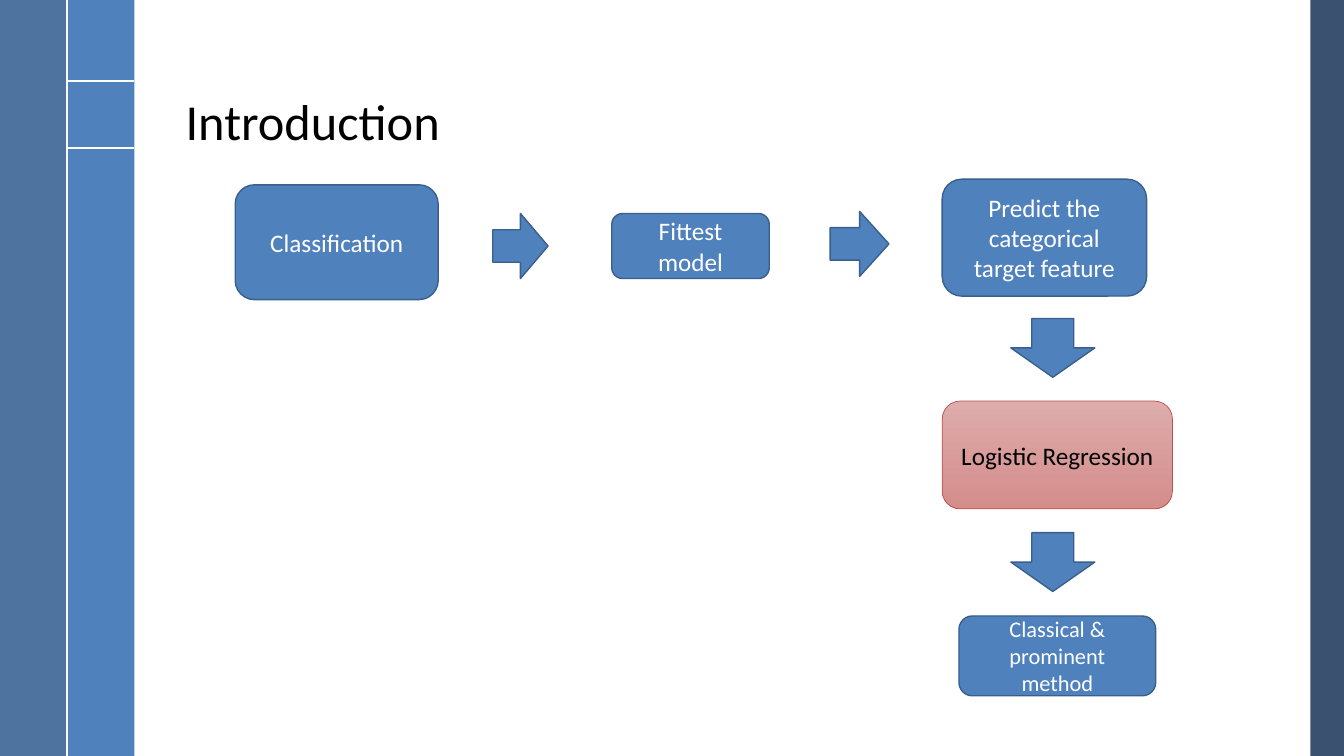
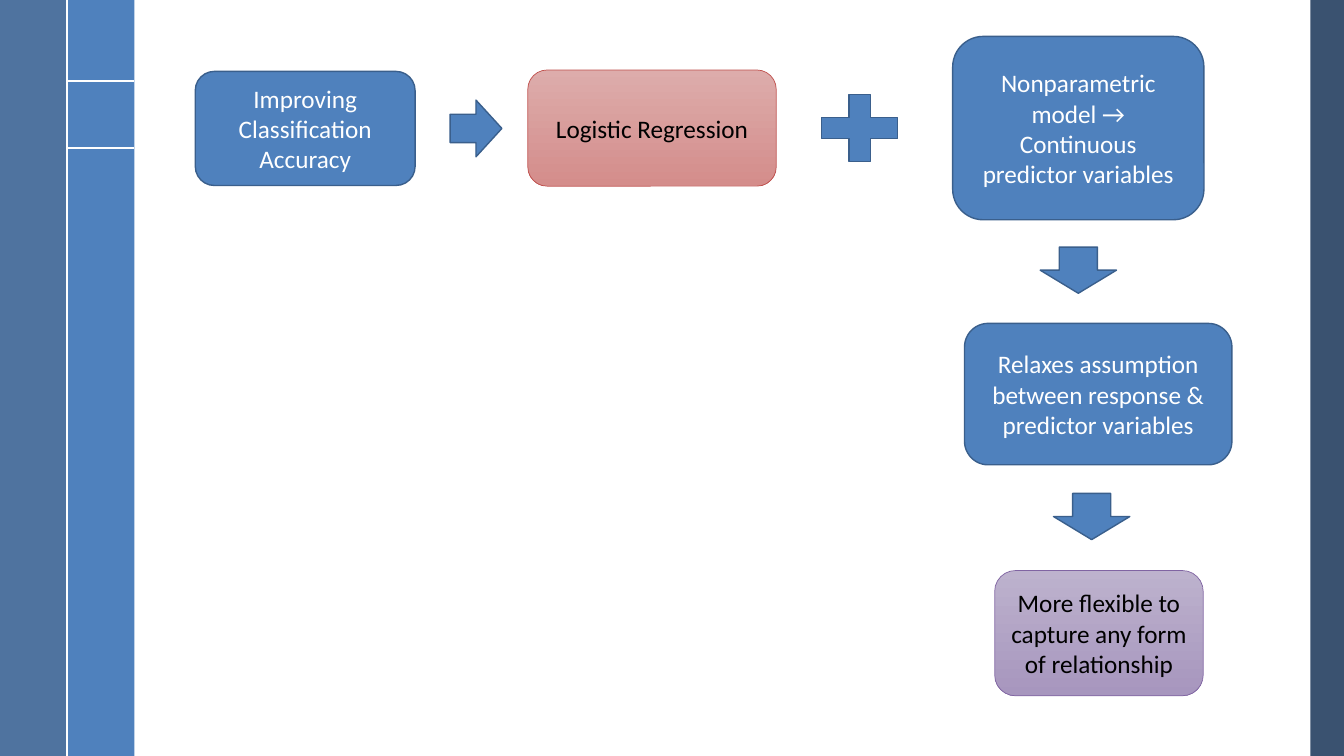
"""Build a two-slide flow of ideas about logistic regression."""
from dataclasses import dataclass
from typing import Any, Optional

from lxml.etree import SubElement
from pptx import Presentation
from pptx.dml.color import RGBColor
from pptx.enum.shapes import MSO_CONNECTOR, MSO_SHAPE as Preset
from pptx.enum.text import MSO_ANCHOR as Anchor, PP_ALIGN as Align
from pptx.oxml.ns import qn
from pptx.util import Pt

PAGE_WIDTH, PAGE_HEIGHT = 960, 540
BLANK_LAYOUT = 6
BAND = 48
RIGHT_BAND = 24
RULE_TOPS = (58, 106)

BLACK = RGBColor(0x00, 0x00, 0x00)
WHITE = RGBColor(0xFF, 0xFF, 0xFF)
BLUE = RGBColor(0x4F, 0x81, 0xBD)
BLUE_EDGE = RGBColor(0x3A, 0x5F, 0x8C)
DEEP_BLUE = RGBColor(0x37, 0x60, 0x92)
NAVY = RGBColor(0x25, 0x40, 0x61)
RED_EDGE = RGBColor(0xC0, 0x50, 0x4D)
RED_LIGHT = RGBColor(0xDD, 0xAC, 0xAB)
RED_DARK = RGBColor(0xD4, 0x8D, 0x8B)
PURPLE_EDGE = RGBColor(0x80, 0x64, 0xA2)
PURPLE_LIGHT = RGBColor(0xBD, 0xB2, 0xCD)
PURPLE_DARK = RGBColor(0xA7, 0x96, 0xBE)


@dataclass(frozen=True)
class Look:
    fills: tuple[RGBColor, ...]
    edge: RGBColor
    edge_width: float
    ink: RGBColor


@dataclass(frozen=True)
class Band:
    left: float
    width: float
    color: RGBColor
    opacity: int = 100


@dataclass(frozen=True)
class Node:
    preset: Preset
    left: float
    top: float
    width: float
    height: float
    text: str = ""
    look: Look = Look((BLUE,), BLUE_EDGE, 1, WHITE)
    size: float = 18


@dataclass(frozen=True)
class Page:
    nodes: tuple[Node, ...]
    title: Optional[str] = None


RED = Look((RED_LIGHT, RED_DARK), RED_EDGE, 0.5, BLACK)
PURPLE = Look((PURPLE_LIGHT, PURPLE_DARK), PURPLE_EDGE, 0.5, BLACK)

BANDS = (
    Band(PAGE_WIDTH - RIGHT_BAND, RIGHT_BAND, NAVY, 90),
    Band(BAND, BAND, BLUE),
    Band(0, BAND, DEEP_BLUE, 88),
)

BOX, RIGHT, DOWN = Preset.ROUNDED_RECTANGLE, Preset.RIGHT_ARROW, Preset.DOWN_ARROW

PAGES = (
    Page((
        Node(BOX, 168, 132, 145, 82, "Classification"),
        Node(RIGHT, 352, 152.5, 39.5, 46.5),
        Node(BOX, 437, 152.5, 112.5, 46.5, "Fittest model"),
        Node(RIGHT, 593, 151, 42, 46.5),
        Node(BOX, 673, 128, 146, 83.5, "Predict the categorical target feature"),
        Node(DOWN, 722, 227.5, 60, 42),
        Node(BOX, 673, 286.5, 164.5, 77, "Logistic Regression", RED),
        Node(DOWN, 722, 380.5, 60, 42),
        Node(BOX, 685, 440, 140.5, 57, "Classical & prominent method", size=16),
    ), "Introduction"),
    Page((
        Node(BOX, 139.5, 51, 157, 81.5, "Improving Classification Accuracy"),
        Node(RIGHT, 321.5, 71.5, 37, 40.5),
        Node(BOX, 377, 50, 177.5, 83, "Logistic Regression", RED),
        Node(Preset.MATH_PLUS, 577, 59, 74, 65),
        Node(BOX, 680.5, 26, 179.5, 131,
             "Nonparametric model → Continuous predictor variables"),
        Node(DOWN, 743, 176.5, 54.5, 33),
        Node(BOX, 689, 231, 191, 101,
             "Relaxes assumption between response & predictor variables"),
        Node(DOWN, 752.5, 352.5, 54.5, 33),
        Node(BOX, 710.5, 407.5, 149, 89.5,
             "More flexible to capture any form of relationship", PURPLE),
    )),
)


def write(frame: Any, text: str, size: float, ink: RGBColor,
          anchor: Anchor, paragraph_format: dict[str, Any]) -> None:
    frame.word_wrap = True
    frame.vertical_anchor = anchor
    para = frame.paragraphs[0]
    for name, value in paragraph_format.items():
        setattr(para, name, value)
    span = para.add_run()
    span.text = text
    for name, value in {"name": "Calibri", "size": Pt(size)}.items():
        setattr(span.font, name, value)
    span.font.color.rgb = ink


def draw_band(slide: Any, band: Band) -> None:
    box = slide.shapes.add_shape(
        Preset.RECTANGLE, Pt(band.left), Pt(0), Pt(band.width), Pt(PAGE_HEIGHT))
    box.shadow.inherit = False
    box.line.fill.background()
    box.fill.solid()
    box.fill.fore_color.rgb = band.color
    if band.opacity < 100:
        color = box.fill._xPr.find(qn("a:solidFill"))[0]
        SubElement(color, qn("a:alpha")).set("val", str(band.opacity * 1000))


def draw_rule(slide: Any, start: tuple[float, float], end: tuple[float, float]) -> None:
    rule = slide.shapes.add_connector(
        MSO_CONNECTOR.STRAIGHT, *(Pt(length) for length in start + end))
    rule.line.color.rgb = WHITE
    rule.line.width = Pt(1.5)
    SubElement(rule._element.spPr, qn("a:effectLst"))


def draw_frame(slide: Any) -> None:
    for band in BANDS:
        draw_band(slide, band)
    for top in RULE_TOPS:
        draw_rule(slide, (BAND, top), (2 * BAND, top))
    draw_rule(slide, (BAND, 0), (BAND, PAGE_HEIGHT))


def draw_title(slide: Any, title: str) -> None:
    box = slide.shapes.add_textbox(Pt(125.5), Pt(13.5), Pt(770), Pt(98))
    write(box.text_frame, title, 36, BLACK, Anchor.BOTTOM, {"line_spacing": 0.9})


def draw_node(slide: Any, node: Node) -> None:
    box = slide.shapes.add_shape(
        node.preset, Pt(node.left), Pt(node.top), Pt(node.width), Pt(node.height))
    box.shadow.inherit = False
    look = node.look
    if len(look.fills) == 1:
        box.fill.solid()
        box.fill.fore_color.rgb = look.fills[0]
    else:
        box.fill.gradient()
        box.fill.gradient_angle = 270
        for stop, color in zip(box.fill.gradient_stops, look.fills):
            stop.color.rgb = color
    box.line.color.rgb = look.edge
    box.line.width = Pt(look.edge_width)
    if node.text:
        write(box.text_frame, node.text, node.size, look.ink,
              Anchor.MIDDLE, {"alignment": Align.CENTER})


def main() -> None:
    deck = Presentation()
    deck.slide_width, deck.slide_height = Pt(PAGE_WIDTH), Pt(PAGE_HEIGHT)
    for page in PAGES:
        slide = deck.slides.add_slide(deck.slide_layouts[BLANK_LAYOUT])
        draw_frame(slide)
        if page.title:
            draw_title(slide, page.title)
        for node in page.nodes:
            draw_node(slide, node)
    deck.save("out.pptx")


if __name__ == "__main__":
    main()
